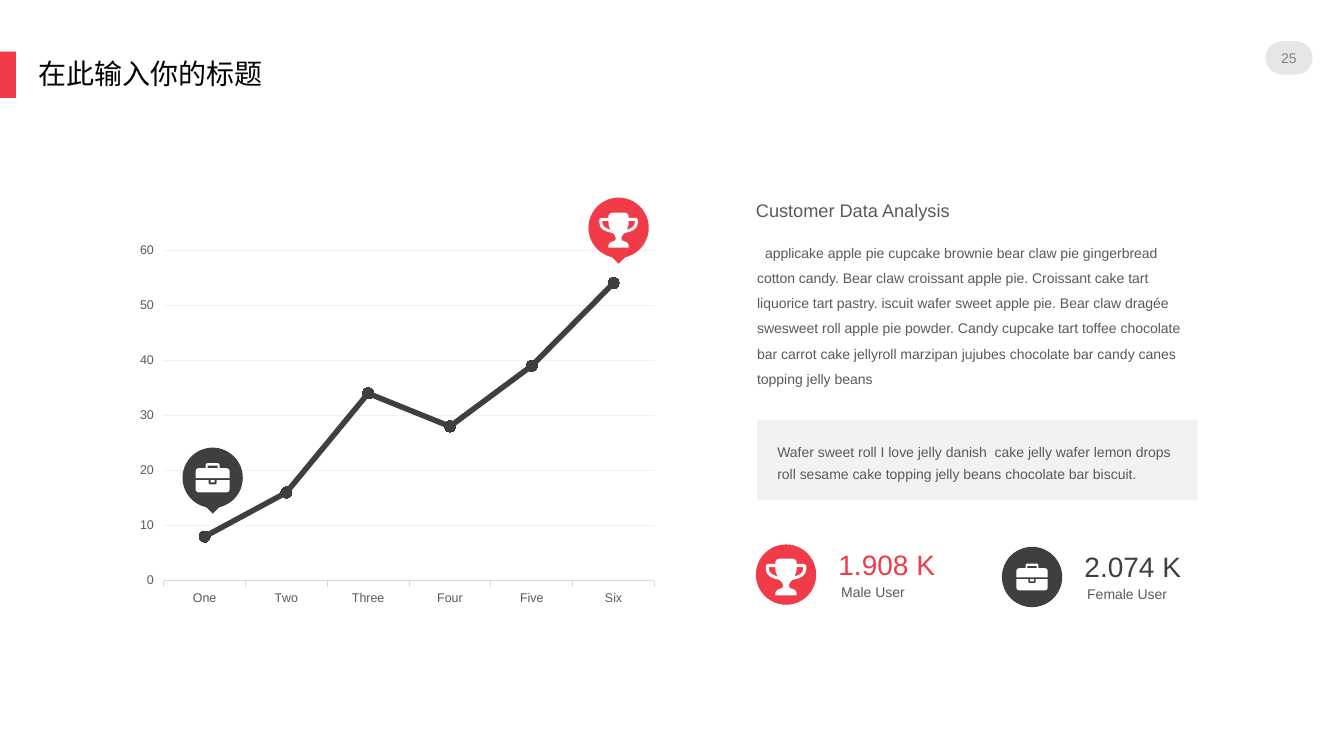
import dataclasses

import pptx
import pptx.chart.data
import pptx.dml.color
import pptx.enum.chart
import pptx.enum.shapes
import pptx.enum.text
import pptx.oxml
import pptx.oxml.ns
import pptx.util

Cm = pptx.util.Cm
Pt = pptx.util.Pt
Shape = pptx.enum.shapes.MSO_SHAPE
Anchor = pptx.enum.text.MSO_ANCHOR
Align = pptx.enum.text.PP_ALIGN


@dataclasses.dataclass(frozen=True)
class Theme:
    """Colours and type sizes of the deck."""
    font: str = "Arial"
    red: str = "F23B48"
    dark: str = "3F3F3F"
    grey: str = "595959"
    number: str = "808080"
    badge: str = "E7E6E6"
    panel: str = "F2F2F2"
    axis: str = "D9D9D9"
    white: str = "FFFFFF"
    black: str = "000000"
    large: int = 20
    heading: int = 13
    body: int = 10
    tick: int = 9


@dataclasses.dataclass(frozen=True)
class Icon:
    """A mirrored icon: right halves joined across the axis, and side parts drawn on both sides."""
    width: int
    height: int
    halves: tuple
    sides: tuple = ()
    drop: float = 0


THEME = Theme()
TROPHY = Icon(
    380, 345,
    (((60, 0), (85, 8), (100, 30), (100, 50), (165, 50), (185, 58), (190, 70),
      (190, 100), (180, 140), (150, 170), (110, 188), (60, 200), (40, 220),
      (28, 245), (30, 265), (40, 278), (60, 284), (85, 295), (100, 320), (100, 345)),),
    (((100, 80), (98, 120), (80, 170), (135, 145), (155, 120), (160, 100), (160, 80)),),
    0.06)
BRIEFCASE = Icon(
    340, 290,
    (((50, 0), (65, 5), (70, 20), (70, 50), (140, 50), (162, 58), (170, 80), (170, 150)),
     ((50, 25), (50, 50)),
     ((0, 212), (30, 212), (40, 202), (40, 168), (170, 168), (170, 260), (162, 282), (140, 290)),
     ((20, 168), (20, 192))))


def color(value):
    """Turn a hex value into a colour."""
    return pptx.dml.color.RGBColor.from_string(value)


def style(font, size, value):
    """Set the family, size and colour of a font."""
    font.name, font.size = THEME.font, Pt(size)
    font.color.rgb = color(value)


def write(frame, text, size, value, spacing=1.0, align=Align.LEFT, anchor=Anchor.TOP, insets=(0, 0)):
    """Fill a text frame with one styled paragraph and return the paragraph."""
    frame.word_wrap, frame.vertical_anchor = True, anchor
    frame.margin_left = frame.margin_right = Cm(insets[0])
    frame.margin_top = frame.margin_bottom = Cm(insets[1])
    frame.text = text
    para = frame.paragraphs[0]
    para.line_spacing, para.alignment = spacing, align
    for span in para.runs:
        style(span.font, size, value)
    return para


def add_text(page, box, *args, **options):
    """Add a text box holding one styled paragraph."""
    area = page.shapes.add_textbox(*map(Cm, box))
    return write(area.text_frame, *args, **options)


def paint(shape, value):
    """Give a shape a plain fill without line or shadow."""
    shape.shadow.inherit = False
    shape.fill.solid()
    shape.fill.fore_color.rgb = color(value)
    shape.line.fill.background()
    return shape


def add_shape(shapes, kind, box, value):
    """Add a plainly filled preset shape."""
    return paint(shapes.add_shape(kind, *map(Cm, box)), value)


def mirror(points):
    """Reflect points across the vertical axis in reverse order."""
    return [(-x, y) for x, y in reversed(points)]


def add_icon(shapes, icon, center, width):
    """Draw a white icon around a center."""
    contours = [list(half) + mirror(half) for half in icon.halves]
    for side in icon.sides:
        contours += [list(side), mirror(side)]
    scale = Cm(width) / icon.width
    builder = shapes.build_freeform(*contours[0][0], scale=scale)
    builder.add_line_segments(contours[0][1:], close=True)
    for contour in contours[1:]:
        builder.move_to(*contour[0])
        builder.add_line_segments(contour[1:], close=True)
    top = Cm(center[1] + icon.drop) - int(icon.height * scale / 2)
    paint(builder.convert_to_shape(Cm(center[0]), top), THEME.white)


def add_disc(shapes, left, top, value, icon, width, size=1.52):
    """Draw a round badge with an icon."""
    add_shape(shapes, Shape.OVAL, (left, top, size, size), value)
    add_icon(shapes, icon, (left + size / 2, top + size / 2), width)


def add_pin(page, left, top, value, icon, width):
    """Draw a round marker with a point below it."""
    shapes = page.shapes.add_group_shape().shapes
    point = add_shape(shapes, Shape.RECTANGLE, (left + 0.48, top + 0.99, 0.56, 0.56), value)
    point.rotation = 45
    add_disc(shapes, left, top, value, icon, width)


def add_header(page, box, title, number):
    """Place the accent bar, the title and the page number."""
    left, top, width, height = box
    add_shape(page.shapes, Shape.RECTANGLE, (left, top, 0.4, height), THEME.red)
    badge = add_shape(page.shapes, Shape.ROUNDED_RECTANGLE,
                      (left + width - 1.98, top - 0.26, 1.19, 0.84), THEME.badge)
    badge.adjustments[0] = 0.5
    write(badge.text_frame, number, THEME.body, THEME.number, align=Align.CENTER, anchor=Anchor.MIDDLE)
    holder = page.shapes.title
    holder.left, holder.top, holder.width, holder.height = map(Cm, (left + 0.71, top + 0.1, 10.6, height))
    write(holder.text_frame, title, THEME.large, THEME.black, 0.9, insets=(0.25, 0.13))


def set_plot_layout(chart, **place):
    """Fix the inner plot area as fractions of the chart."""
    plot_area = chart.element.find(".//" + pptx.oxml.ns.qn("c:plotArea"))
    for layout in plot_area.findall(pptx.oxml.ns.qn("c:layout")):
        plot_area.remove(layout)
    modes = '<c:layoutTarget val="inner"/><c:xMode val="edge"/><c:yMode val="edge"/>'
    values = "".join(f'<c:{name} val="{value}"/>' for name, value in place.items())
    plot_area.insert(0, pptx.oxml.parse_xml(
        f'<c:layout {pptx.oxml.ns.nsdecls("c")}><c:manualLayout>{modes}{values}</c:manualLayout></c:layout>'))


def add_growth_chart(page, box):
    """Place the line chart with its two pins."""
    left, top, width, height = box
    data = pptx.chart.data.CategoryChartData()
    data.categories = ["One", "Two", "Three", "Four", "Five", "Six"]
    data.add_series("Series 1", (8, 16, 34, 28, 39, 54))
    kinds = pptx.enum.chart
    chart = page.shapes.add_chart(kinds.XL_CHART_TYPE.LINE_MARKERS, *map(Cm, box), data).chart
    chart.has_legend = chart.has_title = False
    style(chart.font, THEME.body, THEME.black)
    set_plot_layout(chart, x=0.03, y=0.036, w=0.955, h=0.694)
    for axis in (chart.category_axis, chart.value_axis):
        style(axis.tick_labels.font, THEME.tick, THEME.grey)
        axis.major_tick_mark = kinds.XL_TICK_MARK.OUTSIDE
    chart.category_axis.format.line.color.rgb = color(THEME.axis)
    chart.category_axis.format.line.width = Pt(0.75)
    values = chart.value_axis
    values.minimum_scale, values.maximum_scale, values.major_unit = 0, 60, 10
    values.format.line.fill.background()
    values.major_gridlines.format.line.color.rgb = color(THEME.panel)
    values.major_gridlines.format.line.width = Pt(0.75)
    chart.plots[0].vary_by_categories = False
    series = chart.plots[0].series[0]
    series.smooth = False
    series.format.line.color.rgb = color(THEME.dark)
    series.format.line.width = Pt(4)
    for index in range(6):
        point = series.points[index]
        point.format.line.color.rgb = color(THEME.dark)
        point.format.line.width = Pt(4)
        marker = point.marker
        marker.style, marker.size = kinds.XL_MARKER_STYLE.CIRCLE, 8
        value = THEME.red if index > 3 else THEME.dark
        marker.format.fill.solid()
        marker.format.fill.fore_color.rgb = color(value)
        marker.format.line.color.rgb = color(value)
    add_pin(page, left + 11.3, top - 0.89, THEME.red, TROPHY, 0.97)
    add_pin(page, left + 1.07, top + 5.41, THEME.dark, BRIEFCASE, 0.86)


def add_stat(page, left, top, value, icon, width, figure, label):
    """Place one badge with its figure and label."""
    add_disc(page.shapes, left, top, value, icon, width)
    add_text(page, (left + 1.83, top - 0.06, 3.02, 1.12), figure, THEME.large, value, insets=(0.25, 0.13))
    add_text(page, (left + 2.15, top + 0.98, 2.4, 0.43), label, THEME.body, THEME.grey)


def add_analysis(page, box):
    """Place the heading, body text, highlighted note and user figures."""
    left, top, width, height = box
    add_text(page, (left, top, width, 0.84), "Customer Data Analysis", THEME.heading, THEME.grey, 0.9)
    para = add_text(
        page, (left + 0.03, top + 0.86, width, 4.5),
        "applicake apple pie cupcake brownie bear claw pie gingerbread cotton candy. Bear claw croissant "
        "apple pie. Croissant cake tart liquorice tart pastry. iscuit wafer sweet apple pie. Bear claw dragée "
        "swesweet roll apple pie powder. Candy cupcake tart toffee chocolate bar carrot cake jellyroll marzipan "
        "jujubes chocolate bar candy canes topping jelly beans", THEME.body, THEME.grey, 1.5)
    para._p.get_or_add_pPr().set("indent", str(Cm(0.2)))
    note = add_shape(page.shapes, Shape.RECTANGLE, (left + 0.03, top + 5.51, width, 2.01), THEME.panel)
    write(note.text_frame,
          "Wafer sweet roll I love jelly danish  cake jelly wafer lemon drops roll sesame cake topping "
          "jelly beans chocolate bar biscuit.",
          THEME.body, THEME.grey, 1.3, anchor=Anchor.MIDDLE, insets=(0.51, 0.13))
    bottom = top + height
    add_stat(page, left, bottom - 1.58, THEME.red, TROPHY, 1.02, "1.908 K", "Male User")
    add_stat(page, left + 6.2, bottom - 1.52, THEME.dark, BRIEFCASE, 0.79, "2.074 K", "Female User")


def main():
    """Build the slide and save the deck."""
    deck = pptx.Presentation()
    deck.slide_width, deck.slide_height = Cm(33.87), Cm(19.05)
    page = deck.slides.add_slide(deck.slide_layouts[5])
    add_header(page, (0, 1.3, 33.87, 1.17), "在此输入你的标题", "25")
    add_growth_chart(page, (3.53, 5.87, 13.16, 12.01))
    add_analysis(page, (19.05, 5.08, 11.1, 10.22))
    deck.save("out.pptx")


if __name__ == "__main__":
    main()
